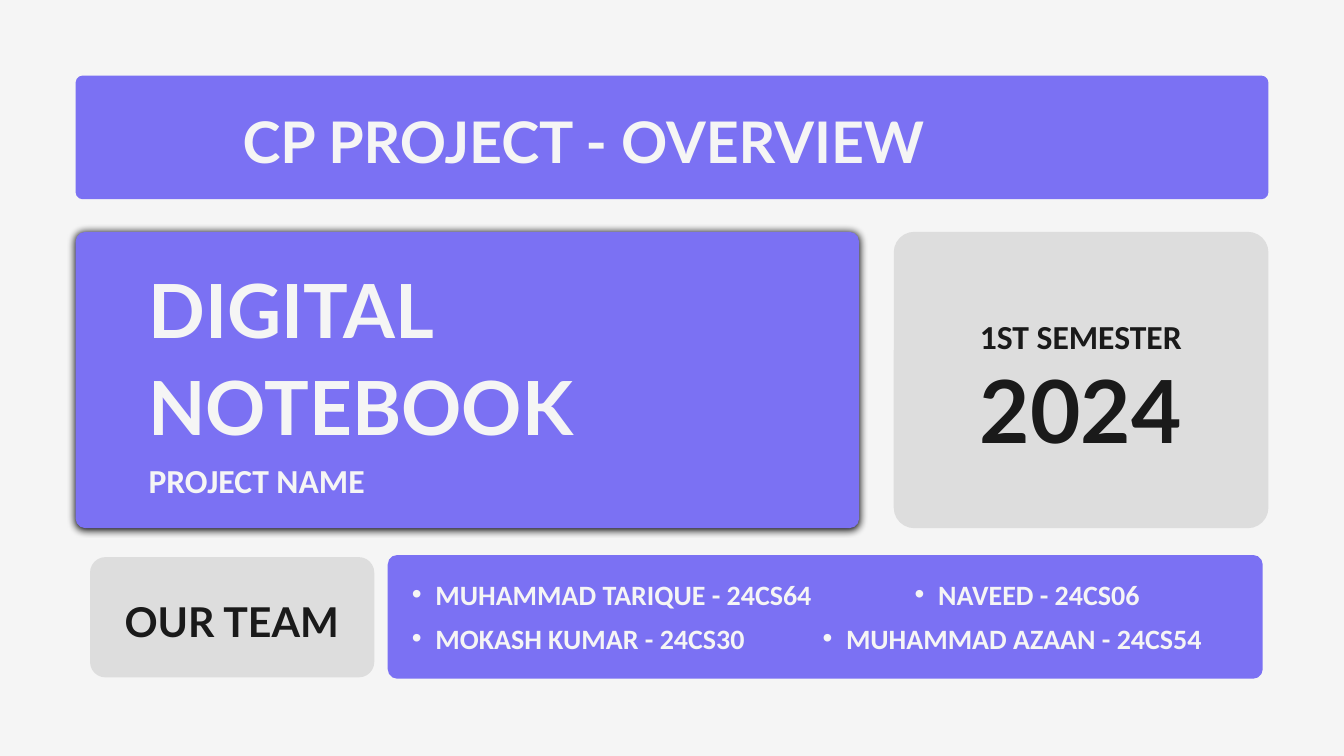
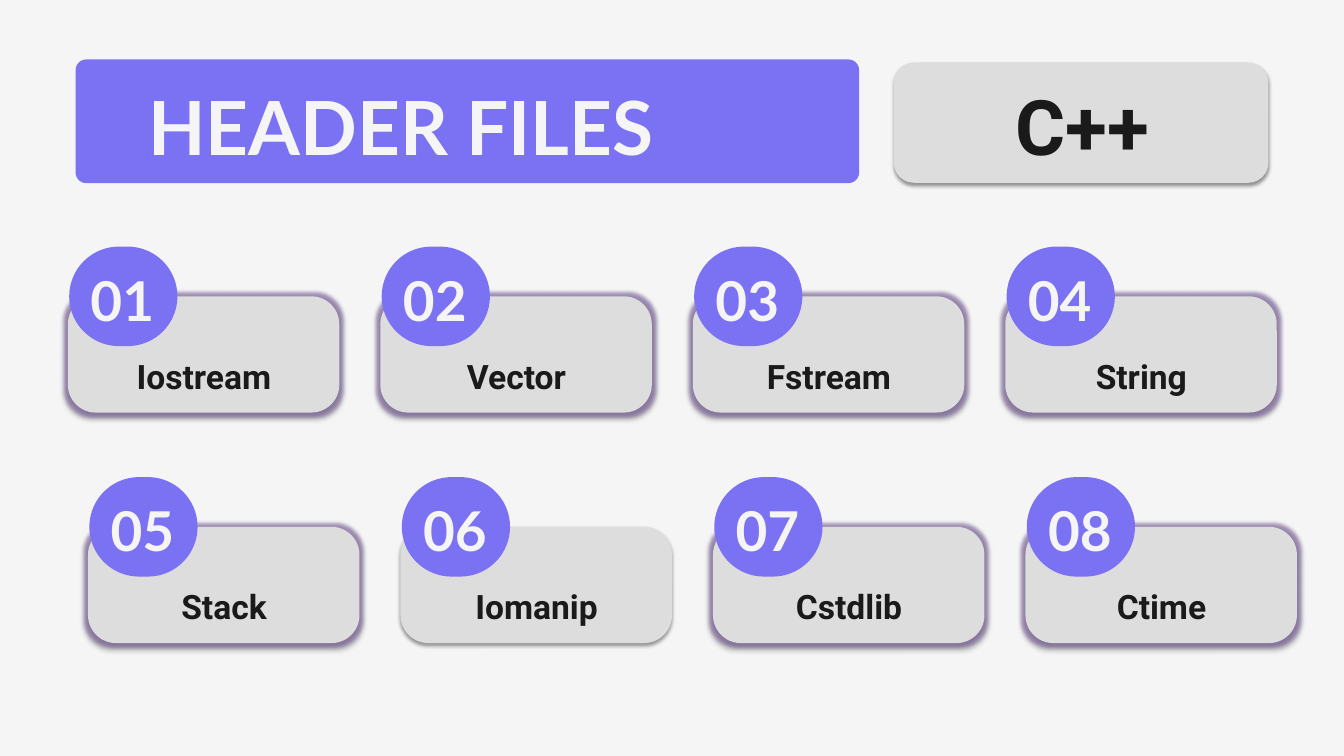
from collections import namedtuple
from lxml.etree import SubElement
from pptx import Presentation
from pptx.dml.color import RGBColor
from pptx.enum.shapes import MSO_SHAPE as Shape
from pptx.enum.text import MSO_ANCHOR as Anchor, MSO_AUTO_SIZE as AutoSize, PP_ALIGN as Align
from pptx.oxml.ns import qn
from pptx.util import Inches, Pt

WIDTH, HEIGHT = Inches(20), Inches(11.25)
COLUMN, ROW = WIDTH / 80, HEIGHT / 45

PAPER = RGBColor(0xF5, 0xF5, 0xF5)
VIOLET = RGBColor(0x7B, 0x71, 0xF3)
GREY = RGBColor(0xDD, 0xDD, 0xDD)
INK = RGBColor(0x1A, 0x1A, 0x1A)
BLACK = RGBColor(0, 0, 0)
HALO = RGBColor(0x80, 0x64, 0xA2)

LEFT_EDGE, TEXT_EDGE, SIDE_EDGE = 4.5, 8.84, 53.2
FULL_SPAN, MAIN_SPAN, SIDE_SPAN = 71, 46.64, 22.3
BAND_ROWS, PANEL_ROWS, BLOCK_ROWS = 7.36, 7.16, 17.64

Type = namedtuple("Type", "font size leading color")
OVERVIEW = Type("Lato", 61.4, 85.9, PAPER)
PROJECT = Type("Lato", 80, 104, PAPER)
HEADING = Type("Lato", 80, 112, PAPER)
CAPTION = Type("Calibri", 36, 50.4, PAPER)
SEMESTER = CAPTION._replace(color=INK)
YEAR = Type("Lato", 93.2, 121.2, INK)
TEAM = Type("Lato", 44, 61.6, INK)
MEMBER = Type("Calibri", 30, 33, PAPER)
LANGUAGE = Type("Roboto", 82, 114.8, INK)
NUMBER = Type("Lato", 58.8, 82.4, PAPER)
HEADER_NAME = Type("Roboto", 36, 50.4, INK)

Shadow = namedtuple("Shadow", "opacity blur distance")
SOFT = Shadow(40, 4, 3)
STRONG = Shadow(100, 8.5, 1)

HEADERS = [
    ["Iostream", "Vector", "Fstream", "String"],
    ["Stack", "Iomanip", "Cstdlib", "Ctime"],
]
WITHOUT_HALO = "Iomanip"


def on_grid(left, top, width, height):
    return [round(n * unit) for n, unit in
            ((left, COLUMN), (top, ROW), (width, COLUMN), (height, ROW))]


def add_effect(effects, tag, color, opacity, **attributes):
    effect = SubElement(effects, qn(tag), {k: str(v) for k, v in attributes.items()})
    tint = SubElement(effect, qn("a:srgbClr"), val=str(color))
    SubElement(tint, qn("a:alpha"), val=str(opacity * 1000))


def add_panel(slide, area, radius, color, shadow=None, halo=False):
    panel = slide.shapes.add_shape(Shape.ROUNDED_RECTANGLE, *on_grid(*area))
    panel.adjustments[0] = radius / min(area[2:])
    panel.fill.solid()
    panel.fill.fore_color.rgb = color
    panel.line.fill.background()
    panel.shadow.inherit = False
    effects = panel._element.spPr.find(qn("a:effectLst"))
    if halo:
        add_effect(effects, "a:glow", HALO, 60, rad=Pt(8))
    if shadow:
        add_effect(effects, "a:outerShdw", BLACK, shadow.opacity, blurRad=Pt(shadow.blur),
                   dist=Pt(shadow.distance), dir=5400000, algn="ctr", rotWithShape=0)


def write(holder, lines, style, align=Align.LEFT, gap=0):
    frame = holder.text_frame
    frame.word_wrap = True
    frame.auto_size = AutoSize.NONE
    frame.vertical_anchor = Anchor.TOP
    frame.margin_left = frame.margin_top = frame.margin_right = frame.margin_bottom = 0
    for index, line in enumerate(lines):
        paragraph = frame.add_paragraph() if index else frame.paragraphs[0]
        paragraph.alignment = align
        paragraph.line_spacing = Pt(style.leading)
        paragraph.space_before = Pt(gap if index else 0)
        paragraph.space_after = Pt(0)
        run = paragraph.add_run()
        run.text = line
        run.font.name = style.font
        run.font.size = Pt(style.size)
        run.font.bold = True
        run.font.color.rgb = style.color
    return frame


def add_text(slide, area, lines, style, align=Align.LEFT):
    write(slide.shapes.add_textbox(*on_grid(*area)), lines, style, align)


def bring_forward(slide, placeholder, area):
    placeholder.left, placeholder.top, placeholder.width, placeholder.height = on_grid(*area)
    slide.shapes._spTree.append(placeholder._element)


def set_title(slide, area, title, style):
    bring_forward(slide, slide.shapes.title, area)
    write(slide.shapes.title, [title], style)


def set_members(slide, index, area, members, indents):
    body = slide.placeholders[index]
    bring_forward(slide, body, area)
    frame = write(body, members, MEMBER, gap=14.5)
    for paragraph, indent in zip(frame.paragraphs, indents):
        properties = paragraph._p.get_or_add_pPr()
        properties.set("marL", str(Inches(indent)))
        properties.set("indent", str(Inches(-0.35)))


def add_header_card(slide, left, top, number, name):
    add_panel(slide, (left, top, 16.16, 6.92), 1.66, GREY, SOFT, name != WITHOUT_HALO)
    add_panel(slide, (left + 0.08, top - 2.96, 6.44, 5.92), 2.96, VIOLET)
    add_text(slide, (left, top - 2.44, 6.48, 4.4), [f"{number:02}"], NUMBER, Align.CENTER)
    add_text(slide, (left - 1.2, top + 3.12, 18.6, 2.72), [name], HEADER_NAME, Align.CENTER)


def build_overview(prs):
    slide = prs.slides.add_slide(prs.slide_layouts[3])
    add_panel(slide, (LEFT_EDGE, 4.5, FULL_SPAN, BAND_ROWS), 0.42, VIOLET)
    set_title(slide, (14.44, 5.64, 51.08, 4.64), "CP PROJECT - OVERVIEW", OVERVIEW)

    add_panel(slide, (LEFT_EDGE, 13.8, MAIN_SPAN, BLOCK_ROWS), 0.58, VIOLET, STRONG)
    add_text(slide, (TEXT_EDGE, 15.24, 40.24, 11.56), ["DIGITAL", "NOTEBOOK"], PROJECT)
    add_text(slide, (TEXT_EDGE, 27, 39.4, 2.72), ["PROJECT NAME"], CAPTION)

    add_panel(slide, (SIDE_EDGE, 13.8, SIDE_SPAN, BLOCK_ROWS), 1.22, GREY)
    add_text(slide, (55.88, 18.4, 16.92, 2.72), ["1ST SEMESTER"], SEMESTER, Align.CENTER)
    add_text(slide, (55.88, 20.72, 16.92, 6.6), ["2024"], YEAR, Align.CENTER)

    add_panel(slide, (5.36, 33.16, 16.92, PANEL_ROWS), 0.92, GREY)
    add_text(slide, (LEFT_EDGE, 35, 18.6, 3.28), ["OUR TEAM"], TEAM, Align.CENTER)
    add_panel(slide, (23.08, 33.04, 52.08, BAND_ROWS), 0.56, VIOLET)
    set_members(slide, 1, (23.08, 34.52, 31.24, 4.5),
                ["MUHAMMAD TARIQUE - 24CS64", "MOKASH KUMAR - 24CS30"], [0.71, 0.71])
    set_members(slide, 2, (47.52, 34.52, 26.92, 4.5),
                ["NAVEED - 24CS06", "MUHAMMAD AZAAN - 24CS54"], [2.08, 0.71])


def build_headers(prs):
    slide = prs.slides.add_slide(prs.slide_layouts[5])
    add_panel(slide, (LEFT_EDGE, 3.54, MAIN_SPAN, BAND_ROWS), 0.63, VIOLET)
    set_title(slide, (TEXT_EDGE, 3.92, 35.6, 6.04), "HEADER FILES", HEADING)
    add_panel(slide, (SIDE_EDGE, 3.72, SIDE_SPAN, PANEL_ROWS), 1.2, GREY, SOFT)
    add_text(slide, (55.12, 3.8, 18.6, 6.12), ["C++"], LANGUAGE, Align.CENTER)
    for row, names in enumerate(HEADERS):
        for column, name in enumerate(names):
            add_header_card(slide, 4.04 + 18.6 * column + 1.2 * row, 17.64 + 13.72 * row,
                            row * len(names) + column + 1, name)


def main():
    prs = Presentation()
    prs.slide_width, prs.slide_height = WIDTH, HEIGHT
    backdrop = prs.slide_master.background.fill
    backdrop.solid()
    backdrop.fore_color.rgb = PAPER
    build_overview(prs)
    build_headers(prs)
    prs.save("out.pptx")


if __name__ == "__main__":
    main()
